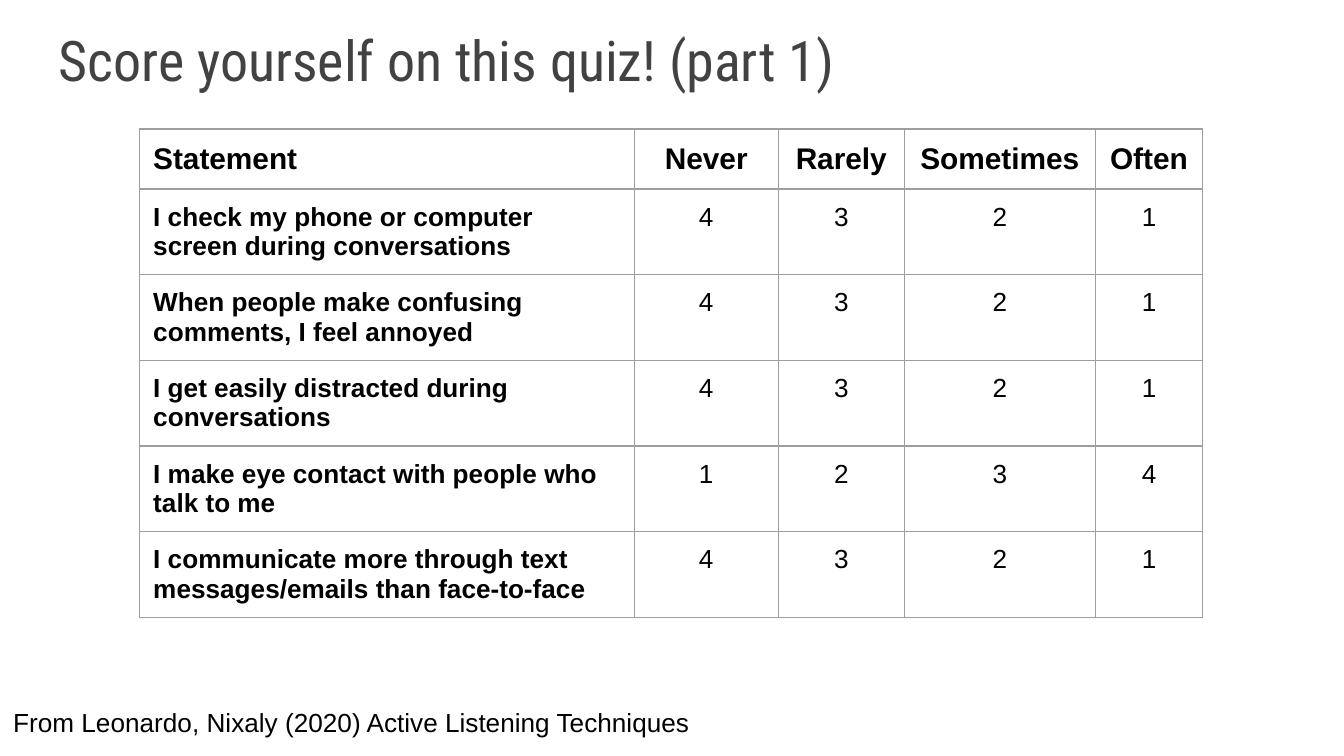
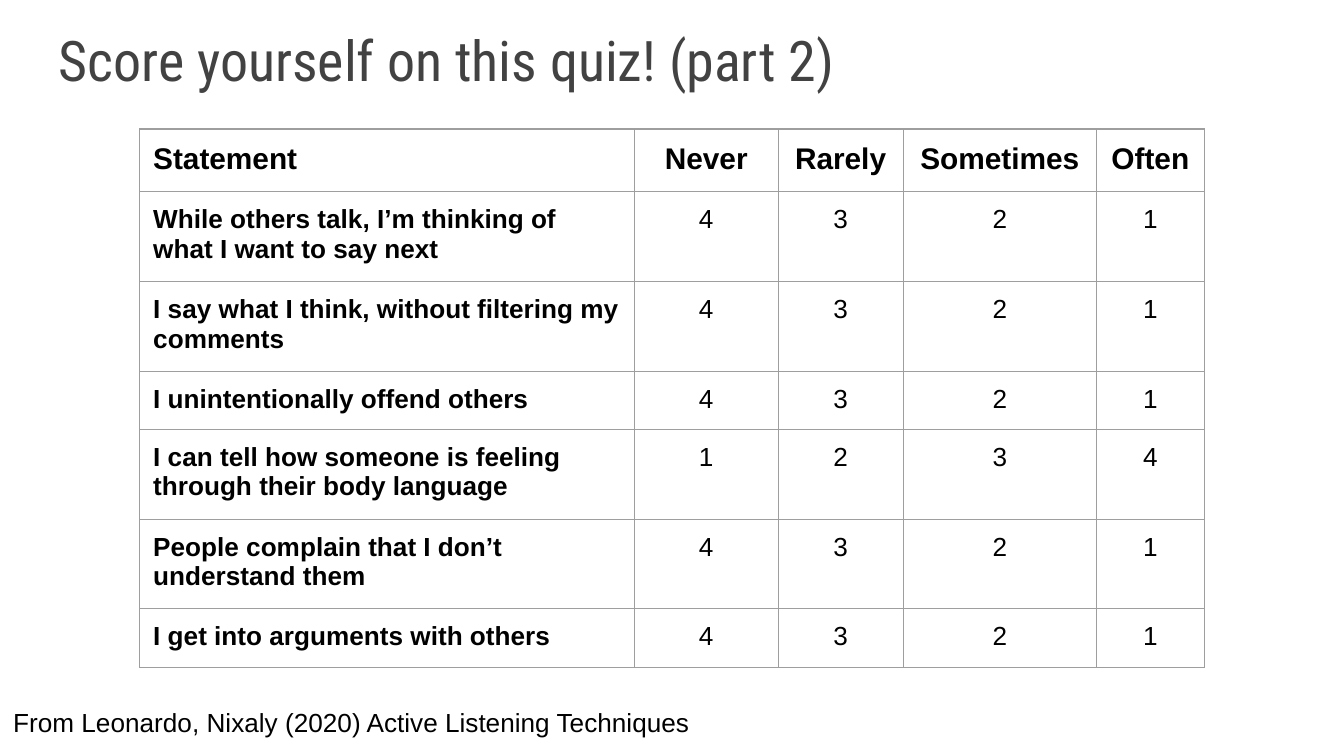
from lxml.etree import SubElement
from pptx import Presentation
from pptx.dml.color import RGBColor
from pptx.enum.text import MSO_ANCHOR as Anchor, MSO_AUTO_SIZE as AutoSize, PP_ALIGN as Align
from pptx.oxml.ns import qn
from pptx.util import Inches, Pt

PAGE_WIDTH = 10
PAGE_HEIGHT = PAGE_WIDTH * 9 / 16
BLACK, TITLE_GREY, BORDER_GREY = "000000", "424242", "9E9E9E"
BODY_FONT, TITLE_FONT = "Arial", "Roboto Condensed"
TITLE_BOX = (0.34, -0.01, 9.32, 0.8)
SOURCE_BOX = (0, 5.16, PAGE_WIDTH, 0.44)
TABLE_BOX = (1.04, 0.96, 3.28, 3.28)
ROW_HEIGHT = 0.42
INSET = 0.1
SOURCE = "From Leonardo, Nixaly (2020) Active Listening Techniques"
HEADINGS = ("Statement", "Never", "Rarely", "Sometimes", "Often")
FALLING, RISING = (4, 3, 2, 1), (1, 2, 3, 4)

QUIZ_PARTS = [
    ((3.68, 1.07, 0.94, 1.42, 0.8), [
        ("I check my phone or computer screen during conversations", FALLING),
        ("When people make confusing comments, I feel annoyed", FALLING),
        ("I get easily distracted during conversations", FALLING),
        ("I make eye contact with people who talk to me", RISING),
        ("I communicate more through text messages/emails than face-to-face", FALLING),
    ]),
    ((3.68, 1.07, 0.93, 1.44, 0.8), [
        ("While others talk, I’m thinking of what I want to say next", FALLING),
        ("I say what I think, without filtering my comments", FALLING),
        ("I unintentionally offend others", FALLING),
        ("I can tell how someone is feeling through their body language", RISING),
        ("People complain that I don’t understand them", FALLING),
        ("I get into arguments with others", FALLING),
    ]),
]


def color(value):
    """Turn a hex string into a colour."""
    return RGBColor.from_string(value)


def style_paragraph(para, text, size, font=BODY_FONT, ink=BLACK, bold=False, align=Align.LEFT):
    """Write text into a paragraph and set its font."""
    para.text = text
    para.alignment = align
    para.font.name = font
    para.font.size = Pt(size)
    para.font.bold = bold
    para.font.color.rgb = color(ink)


def set_insets(holder):
    """Give a cell or text frame the shared inner margins."""
    holder.margin_left = holder.margin_right = Inches(INSET)
    holder.margin_top = holder.margin_bottom = Inches(INSET)


def add_text(page, box, text, size, anchor=Anchor.TOP, auto_size=AutoSize.NONE, **style):
    """Add a wrapping text box with one paragraph."""
    frame = page.shapes.add_textbox(*map(Inches, box)).text_frame
    frame.word_wrap = True
    frame.auto_size = auto_size
    frame.vertical_anchor = anchor
    set_insets(frame)
    style_paragraph(frame.paragraphs[0], text, size, **style)


def add_borders(cell):
    """Draw a thin grey line on each side of a cell."""
    properties = cell._tc.get_or_add_tcPr()
    for side in ("lnL", "lnR", "lnT", "lnB"):
        line = SubElement(properties, qn(f"a:{side}"), w=str(Pt(0.75)))
        fill = SubElement(line, qn("a:solidFill"))
        SubElement(fill, qn("a:srgbClr"), val=BORDER_GREY)


def add_quiz_table(page, box, widths, questions):
    """Add the score table with its heading row and one row per statement."""
    rows = [HEADINGS] + [(statement, *scores) for statement, scores in questions]
    holder = page.shapes.add_table(len(rows), len(widths), *map(Inches, box))
    table = holder.table
    table.first_row = table.horz_banding = False
    for column, width in zip(table.columns, widths):
        column.width = Inches(width)
    for row_index, values in enumerate(rows):
        table.rows[row_index].height = Inches(ROW_HEIGHT)
        for column_index, value in enumerate(values):
            cell = table.cell(row_index, column_index)
            set_insets(cell)
            add_borders(cell)
            cell.fill.background()
            style_paragraph(
                cell.text_frame.paragraphs[0], str(value),
                size=16 if row_index == 0 else 14,
                bold=row_index == 0 or column_index == 0,
                align=Align.CENTER if column_index else Align.LEFT)
    holder.width, holder.height = map(Inches, box[2:])


def add_quiz_slide(deck, number, widths, questions):
    """Add one part of the quiz with title, table and source line."""
    page = deck.slides.add_slide(deck.slide_layouts[6])
    add_text(page, TITLE_BOX, f"Score yourself on this quiz! (part {number})", 30,
             anchor=Anchor.BOTTOM, font=TITLE_FONT, ink=TITLE_GREY)
    add_quiz_table(page, TABLE_BOX, widths, questions)
    add_text(page, SOURCE_BOX, SOURCE, 14, auto_size=AutoSize.SHAPE_TO_FIT_TEXT)


def main():
    """Build and save the deck."""
    deck = Presentation()
    deck.slide_width, deck.slide_height = Inches(PAGE_WIDTH), Inches(PAGE_HEIGHT)
    for number, (widths, questions) in enumerate(QUIZ_PARTS, start=1):
        add_quiz_slide(deck, number, widths, questions)
    deck.save("out.pptx")


if __name__ == "__main__":
    main()
